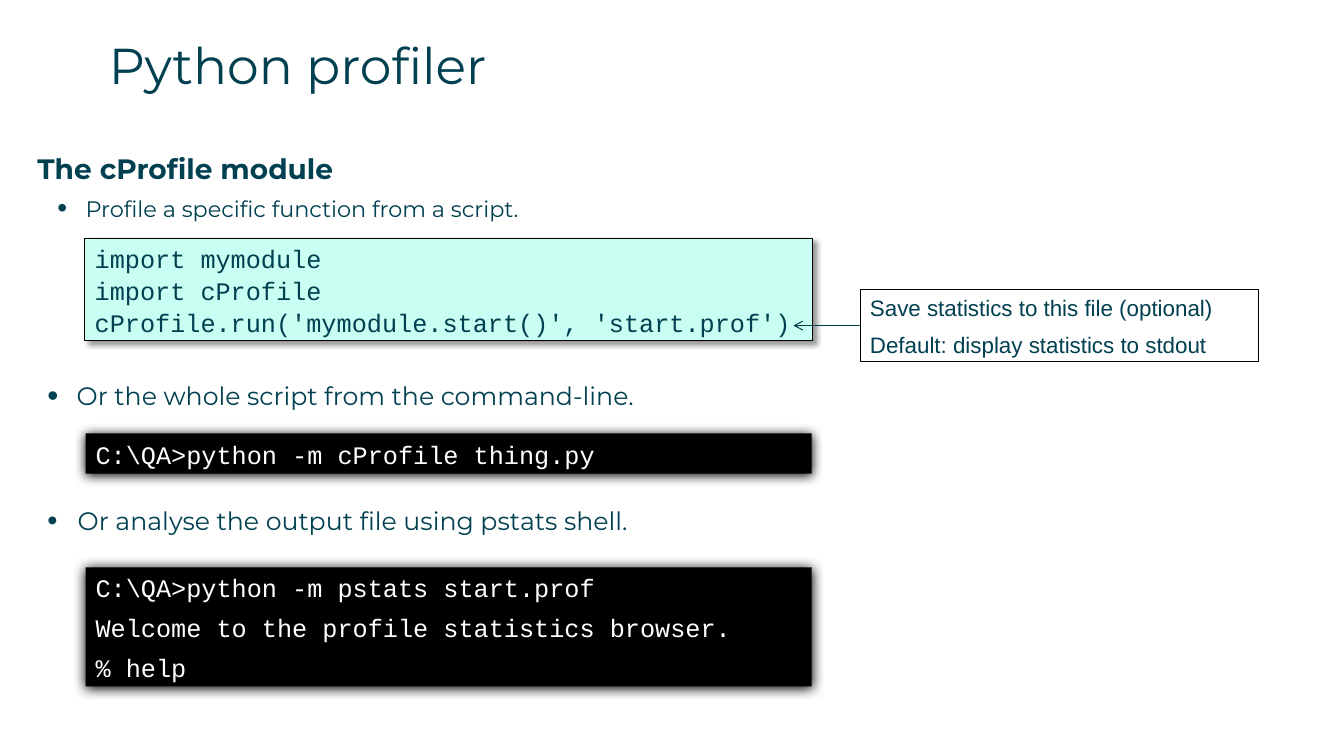
from dataclasses import dataclass

from lxml.etree import SubElement as Sub
from pptx import Presentation as Deck
from pptx.dml.color import RGBColor as Rgb
from pptx.enum.shapes import MSO_CONNECTOR as Conn, MSO_SHAPE as Form
from pptx.enum.text import MSO_ANCHOR as Anchor, PP_ALIGN as Align
from pptx.oxml.ns import qn
from pptx.util import Inches, Pt


@dataclass(frozen=True)
class Theme:
    """Colours, fonts and type sizes of the slide."""
    ink: str = "004050"
    mint: str = "C8FFF2"
    black: str = "000000"
    white: str = "FFFFFF"
    head: str = "Montserrat"
    note: str = "Arial"
    code: str = "Courier New"
    title: int = 36
    topic: int = 20
    main: int = 18
    small: int = 16
    rule: float = 0.75
    lead: float = 1.05


class Page:
    """Draws each kind of element on one slide in one style."""

    def __init__(self, slide, style):
        self.shapes = slide.shapes
        self.style = style

    def letter(self, frame, text, font, size, color, bold=False, gap=0):
        frame.word_wrap = True
        frame.text = text
        for para in frame.paragraphs:
            para.alignment = Align.LEFT
            para.line_spacing = self.style.lead
            para.space_before = Pt(gap)
            for run in para.runs:
                run.font.name = font
                run.font.size = Pt(size)
                run.font.bold = bold
                run.font.color.rgb = Rgb.from_string(color)

    def label(self, x, y, wide, high, text, size, bold=False):
        area = self.shapes.add_textbox(*map(Inches, (x, y, wide, high)))
        frame = area.text_frame
        frame.margin_left = frame.margin_right = 0
        frame.margin_top = frame.margin_bottom = 0
        self.letter(frame, text, self.style.head, size, self.style.ink, bold)
        return frame

    def bullet(self, y, text, size, left, hang, scale):
        frame = self.label(0.37, y, 12.59, 0.35, text, size)
        props = frame.paragraphs[0]._p.get_or_add_pPr()
        props.set("marL", str(Inches(left)))
        props.set("indent", str(-Inches(hang)))
        Sub(props, qn("a:buSzPct"), val=str(scale * 1000))
        Sub(props, qn("a:buFont"), typeface=self.style.note)
        Sub(props, qn("a:buChar"), char="•")

    def box(self, x, y, wide, high, text, font, size, color,
            fill=None, line=None, shade=None, gap=0):
        rect = self.shapes.add_shape(
            Form.RECTANGLE, *map(Inches, (x, y, wide, high)))
        rect.shadow.inherit = False
        if fill:
            rect.fill.solid()
            rect.fill.fore_color.rgb = Rgb.from_string(fill)
        else:
            rect.fill.background()
        if line:
            rect.line.color.rgb = Rgb.from_string(line)
            rect.line.width = Pt(self.style.rule)
        else:
            rect.line.fill.background()
        if shade:
            self.shadow(rect, *shade)
        rect.text_frame.vertical_anchor = Anchor.MIDDLE
        self.letter(rect.text_frame, text, font, size, color, gap=gap)

    def shadow(self, rect, alpha, blur, dist, angle):
        effects = rect._element.spPr.find(qn("a:effectLst"))
        outer = Sub(effects, qn("a:outerShdw"), blurRad=str(Pt(blur)),
                    dist=str(Pt(dist)), dir=str(angle * 60000),
                    algn="tl", rotWithShape="0")
        tint = Sub(outer, qn("a:srgbClr"), val=self.style.black)
        Sub(tint, qn("a:alpha"), val=str(alpha * 1000))

    def shell(self, y, high, text):
        look = self.style
        self.box(0.85, y, 7.2, high, text, look.code, look.main, look.white,
                 fill=look.black, shade=(100, 8.5, 1, 90), gap=6)

    def arrow(self, *ends):
        link = self.shapes.add_connector(Conn.STRAIGHT, *map(Inches, ends))
        link.line.color.rgb = Rgb.from_string(self.style.ink)
        link.line.width = Pt(self.style.rule)
        Sub(link.line._get_or_add_ln(), qn("a:tailEnd"), type="arrow")
        Sub(link._element.spPr, qn("a:effectLst"))


def main():
    """Build the profiler slide and save it."""
    deck = Deck()
    deck.slide_width, deck.slide_height = Inches(13.33), Inches(7.5)
    look = Theme()
    page = Page(deck.slides.add_slide(deck.slide_layouts[6]), look)

    page.label(1.08, 0.31, 12, 0.88, "Python profiler", look.title)
    page.label(0.37, 1.49, 12.59, 0.35, "The cProfile module",
               look.topic, bold=True)
    page.bullet(1.92, "Profile a specific function from a script.",
                look.small, 0.48, 0.28, 125)
    page.bullet(3.76, "Or the whole script from the command-line.",
                look.main, 0.39, 0.29, 125)
    page.bullet(5, "Or analyse the output file using pstats shell.",
                look.main, 0.4, 0.3, 115)

    page.box(0.84, 2.37, 7.22, 1.01,
             "import mymodule\nimport cProfile\n"
             "cProfile.run('mymodule.start()', 'start.prof')",
             look.code, look.main, look.ink, fill=look.mint,
             line=look.black, shade=(40, 4, 3, 45))
    page.box(8.53, 2.87, 3.95, 0.72,
             "Save statistics to this file (optional)\n"
             "Default: display statistics to stdout",
             look.note, look.small, look.ink, line=look.black, gap=6)
    page.arrow(8.53, 3.23, 7.87, 3.23)

    page.shell(4.3, 0.4, "C:\\QA>python -m cProfile thing.py")
    page.shell(5.63, 1.18, "C:\\QA>python -m pstats start.prof\n"
               "Welcome to the profile statistics browser.\n% help")
    deck.save("out.pptx")


if __name__ == "__main__":
    main()
